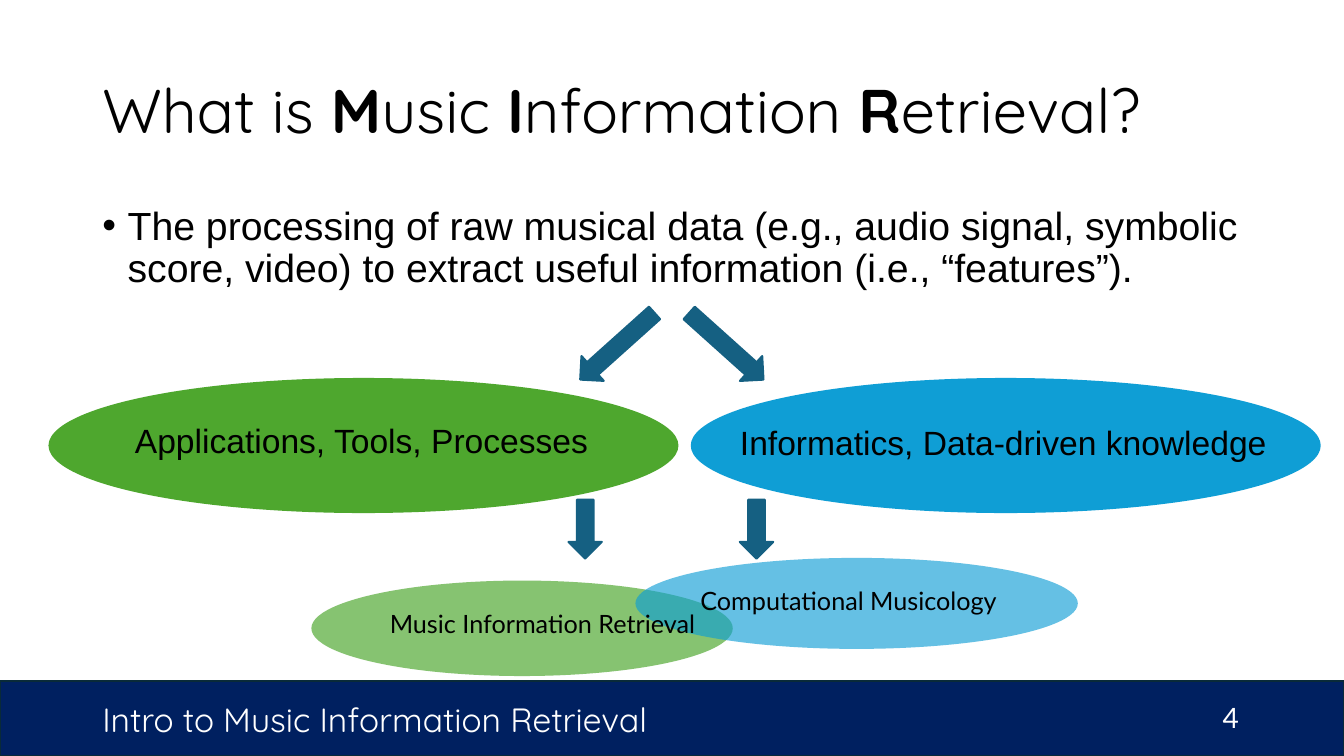
from lxml import etree
from pptx import Presentation
from pptx import util as u
from pptx.dml.color import RGBColor
from pptx.enum import shapes, text
from pptx.oxml.ns import qn

COLOURS = {
    "navy": "002060",
    "navy edge": "092A39",
    "green": "4EA72E",
    "blue": "0F9ED5",
    "teal": "156082",
    "black": "000000",
    "white": "FFFFFF",
}
ELLIPSE = shapes.MSO_SHAPE.OVAL
ARROW = shapes.MSO_SHAPE.DOWN_ARROW
RECTANGLE = shapes.MSO_SHAPE.RECTANGLE


class SlideBuilder:
    def __init__(self, deck):
        self.page = deck.slides.add_slide(deck.slide_layouts[1])

    def colour(self, name):
        return RGBColor.from_string(COLOURS[name])

    def place(self, item, bounds):
        item.left, item.top, item.width, item.height = map(u.Pt, bounds)

    def style(self, para, font, size, colour):
        for span in para.runs:
            span.font.name = font
            span.font.size = u.Pt(size)
            span.font.color.rgb = self.colour(colour)

    def shape(self, kind, bounds, fill, line=None, opacity=100, rotation=0):
        item = self.page.shapes.add_shape(kind, *map(u.Pt, bounds))
        item.shadow.inherit = False
        item.rotation = rotation
        item.fill.solid()
        item.fill.fore_color.rgb = self.colour(fill)
        if opacity < 100:
            colour = item.fill._xPr.find(qn("a:solidFill"))[0]
            etree.SubElement(colour, qn("a:alpha"), val=str(opacity * 1000))
        if line:
            item.line.color.rgb = self.colour(line)
            item.line.width = u.Pt(1.5)
        else:
            item.line.fill.background()

    def label(self, words, bounds, font, size, colour="black",
              anchor=text.MSO_ANCHOR.TOP, align=text.PP_ALIGN.LEFT):
        box = self.page.shapes.add_textbox(*map(u.Pt, bounds))
        frame = box.text_frame
        frame.word_wrap = True
        frame.vertical_anchor = anchor
        para = frame.paragraphs[0]
        para.text = words
        para.alignment = align
        self.style(para, font, size, colour)

    def title(self, pieces, bounds):
        """Write the title from (words, bold) pieces."""
        box = self.page.shapes.title
        self.place(box, bounds)
        frame = box.text_frame
        frame.auto_size = text.MSO_AUTO_SIZE.NONE
        frame.vertical_anchor = text.MSO_ANCHOR.MIDDLE
        para = frame.paragraphs[0]
        para.alignment = text.PP_ALIGN.LEFT
        para.line_spacing = 0.9
        for words, bold in pieces:
            span = para.add_run()
            span.text = words
            span.font.bold = bold
        self.style(para, "Quicksand", 44, "black")

    def bullet(self, words, bounds):
        box = self.page.placeholders[1]
        self.place(box, bounds)
        frame = box.text_frame
        frame.auto_size = text.MSO_AUTO_SIZE.NONE
        para = frame.paragraphs[0]
        para.text = words
        para.line_spacing = 0.9
        para.space_before = u.Pt(10)
        self.style(para, "Arial", 28, "black")
        settings = para._p.get_or_add_pPr()
        settings.set("marL", str(u.Pt(18)))
        settings.set("indent", str(-u.Pt(18)))
        etree.SubElement(settings, qn("a:buFont"), typeface="Arial")
        etree.SubElement(settings, qn("a:buChar"), char="•")


def main():
    deck = Presentation()
    deck.slide_width, deck.slide_height = u.Pt(960), u.Pt(540)
    slide = SlideBuilder(deck)

    slide.title(
        [("What is ", False), ("M", True), ("usic ", False), ("I", True),
         ("nformation ", False), ("R", True), ("etrieval?", False)],
        (66, 28.75, 828, 104.4))
    slide.bullet(
        "The processing of raw musical data (e.g., audio signal, symbolic "
        "score, video) to extract useful information (i.e., “features”).",
        (66, 143.75, 828, 342.6))

    footer_top, footer_height = 486.5, 53.5
    slide.shape(RECTANGLE, (0, footer_top, 960, footer_height), "navy", "navy edge")
    slide.label("Intro to Music Information Retrieval",
                (66, footer_top, 552, footer_height), "Quicksand", 24, "white",
                text.MSO_ANCHOR.MIDDLE)
    slide.label("4", (811.5, 495, 80.5, 34.5), "Lato", 20, "white",
                text.MSO_ANCHOR.MIDDLE, text.PP_ALIGN.RIGHT)

    for bounds, fill, opacity in [
        ((222.4, 414.7, 301, 68.2), "green", 68),
        ((453.9, 398.5, 316, 65), "blue", 64),
        ((493.4, 270, 450, 96.5), "blue", 100),
        ((34.6, 270, 450, 96.5), "green", 100),
    ]:
        slide.shape(ELLIPSE, bounds, fill, opacity=opacity)

    for left, top, height, rotation in [
        (429.1, 211.7, 71.3, 48.1),
        (506.9, 211.7, 71.3, 311.9),
        (406.1, 357, 42, 0),
        (528.5, 357, 42, 0),
    ]:
        slide.shape(ARROW, (left, top, 23.8, height), "teal", "teal",
                    rotation=rotation)

    for words, bounds, font, size in [
        ("Applications, Tools, Processes", (89.3, 296.6, 340.6, 36), "Arial", 24),
        ("Informatics, Data-driven knowledge", (521.5, 298, 404, 36), "Arial", 24),
        ("Computational Musicology", (493.2, 414.7, 340.6, 29), "Lato", 18),
        ("Music Information Retrieval", (271.4, 431.3, 340.6, 29), "Lato", 18),
    ]:
        slide.label(words, bounds, font, size)

    deck.save("out.pptx")


if __name__ == "__main__":
    main()
